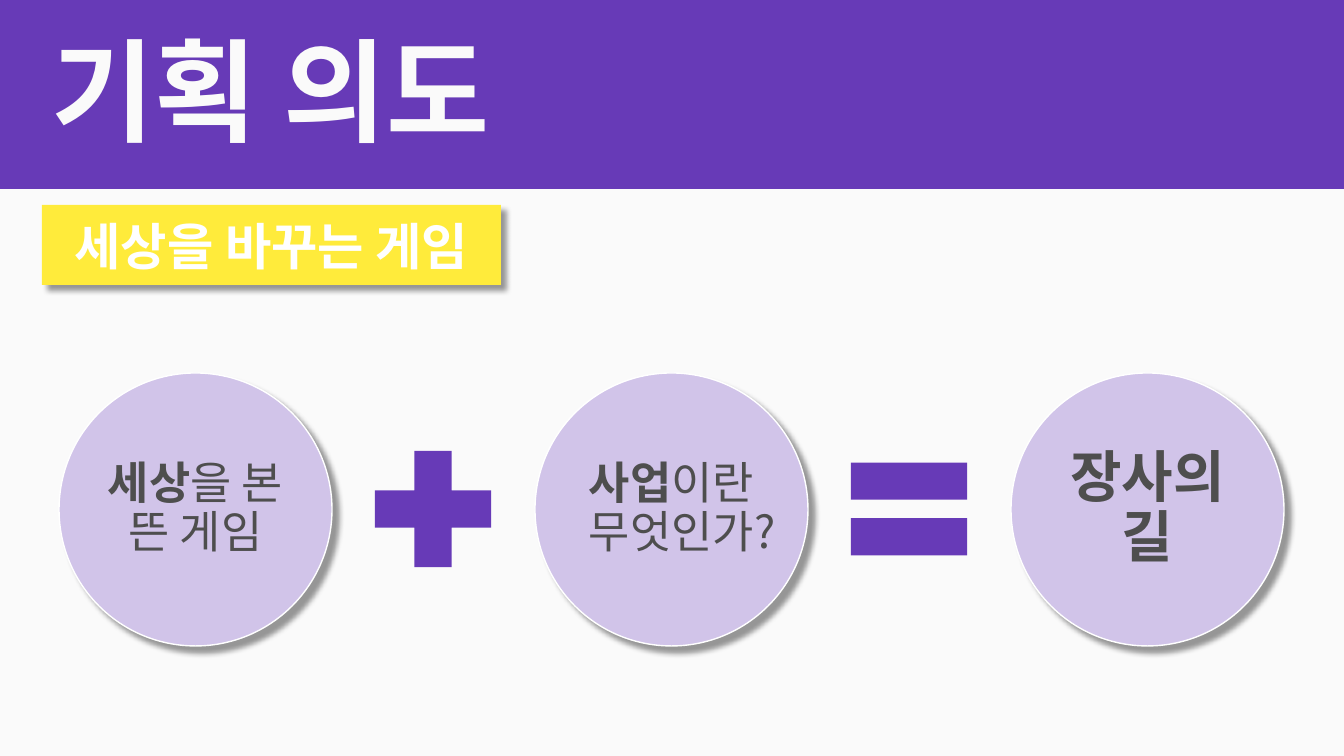
from dataclasses import dataclass
from lxml.etree import SubElement
from pptx import Presentation
from pptx.dml.color import RGBColor
from pptx.enum.shapes import MSO_SHAPE
from pptx.enum.text import MSO_ANCHOR, PP_ALIGN
from pptx.oxml.ns import qn
from pptx.util import Pt

SCALE = 914400 / 100.8


@dataclass(frozen=True)
class Theme:
    font: str = "Noto Sans CJK KR"
    purple: str = "673AB7"
    lilac: str = "D1C4E9"
    yellow: str = "FFEB3B"
    paper: str = "FAFAFA"
    white: str = "FFFFFF"
    ink: str = "4E4E4E"
    black: str = "000000"
    title: int = 80
    label: int = 36
    idea: int = 32
    result: int = 40


THEME = Theme()


def px(n):
    return round(n * SCALE)


def apply(target, values):
    for name, value in values.items():
        setattr(target, name, value)


def add_node(parent, tag, **attrs):
    return SubElement(parent, qn(tag), {k: str(v) for k, v in attrs.items()})


def paint_back(slide):
    """Split the background into a purple band and a pale field with hard stops."""
    fill = slide.background.fill
    fill.gradient()
    fill.gradient_angle = 270
    stops = slide.element.find(".//" + qn("a:gsLst"))
    for old in list(stops):
        stops.remove(old)
    for pos, color in ((0, THEME.purple), (25, THEME.purple),
                       (25, THEME.paper), (100, THEME.paper)):
        stop = add_node(stops, "a:gs", pos=pos * 1000)
        add_node(stop, "a:srgbClr", val=color)


def add_shadow(shape, dist):
    shape.shadow.inherit = False
    effects = shape._element.spPr.find(qn("a:effectLst"))
    outer = add_node(effects, "a:outerShdw", blurRad=Pt(4), dist=Pt(dist),
                     dir=45 * 60000, algn="tl", rotWithShape=0)
    color = add_node(outer, "a:srgbClr", val=THEME.black)
    add_node(color, "a:alpha", val=40000)


def add_form(slide, kind, box, fill, line=None, dist=0):
    shape = slide.shapes.add_shape(kind, *map(px, box))
    shape.fill.solid()
    shape.fill.fore_color.rgb = RGBColor.from_string(fill)
    if line:
        shape.line.color.rgb = RGBColor.from_string(line)
        shape.line.width = Pt(1)
    else:
        shape.line.fill.background()
    if dist:
        add_shadow(shape, dist)
    else:
        shape.shadow.inherit = False
    return shape


def write(shape, runs, size, color, align=PP_ALIGN.CENTER, space=0.9, inset=None):
    """Fill a shape with one paragraph of (text, bold) runs."""
    frame = shape.text_frame
    apply(frame, {"word_wrap": True, "vertical_anchor": MSO_ANCHOR.MIDDLE})
    if inset is not None:
        sides = ("left", "top", "right", "bottom")
        apply(frame, {f"margin_{side}": px(inset) for side in sides})
    para = frame.paragraphs[0]
    apply(para, {"alignment": align, "line_spacing": space})
    for text, bold in runs:
        run = para.add_run()
        run.text = text
        apply(run.font, {"name": THEME.font, "size": Pt(size), "bold": bold})
        run.font.color.rgb = RGBColor.from_string(color)
        add_node(run.font._element, "a:ea", typeface=THEME.font)


def add_title(slide, text):
    box = slide.shapes.add_textbox(*map(px, (42, 0, 493, 194)))
    write(box, [(text, True)], THEME.title, THEME.paper, PP_ALIGN.LEFT)


def add_label(slide, text):
    tag = add_form(slide, MSO_SHAPE.RECTANGLE, (42, 205, 459, 80),
                   THEME.yellow, dist=5)
    write(tag, [(text, True)], THEME.label, THEME.white, space=1.0)


def add_sum(slide, terms, signs):
    """Lay circles out at an even pitch, with a sign after each but the last."""
    left, top, side, pitch = 59, 373, 273, 476
    sign, shift = 158, 295
    for i, (runs, size, inset) in enumerate(terms):
        x = left + i * pitch
        disc = add_form(slide, MSO_SHAPE.OVAL, (x, top, side, side),
                        THEME.lilac, THEME.white, 6)
        write(disc, runs, size, THEME.ink, inset=inset)
        if i < len(signs):
            y = top + (side - sign) // 2
            add_form(slide, signs[i], (x + shift, y, sign, sign), THEME.purple)


def main():
    deck = Presentation()
    apply(deck, {"slide_width": px(1344), "slide_height": px(756)})
    slide = deck.slides.add_slide(deck.slide_layouts[6])
    paint_back(slide)
    add_title(slide, "기획 의도")
    terms = [
        ([("세상", True), ("을 본 뜬 게임", False)], THEME.idea, 4),
        ([("사업", True), ("이란 무엇인가?", False)], THEME.idea, 4),
        ([("장사의 길", True)], THEME.result, 6),
    ]
    add_sum(slide, terms, [MSO_SHAPE.MATH_PLUS, MSO_SHAPE.MATH_EQUAL])
    add_label(slide, "세상을 바꾸는 게임")
    deck.save("out.pptx")


if __name__ == "__main__":
    main()
